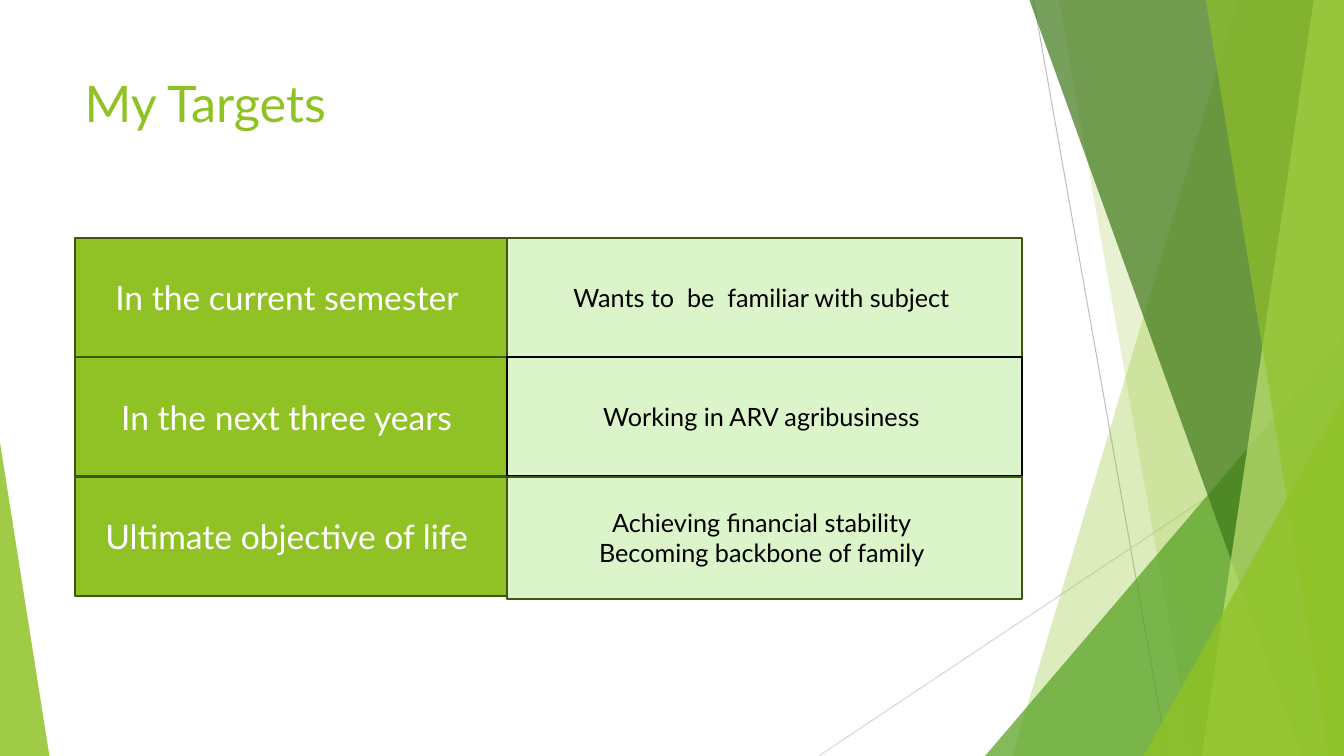
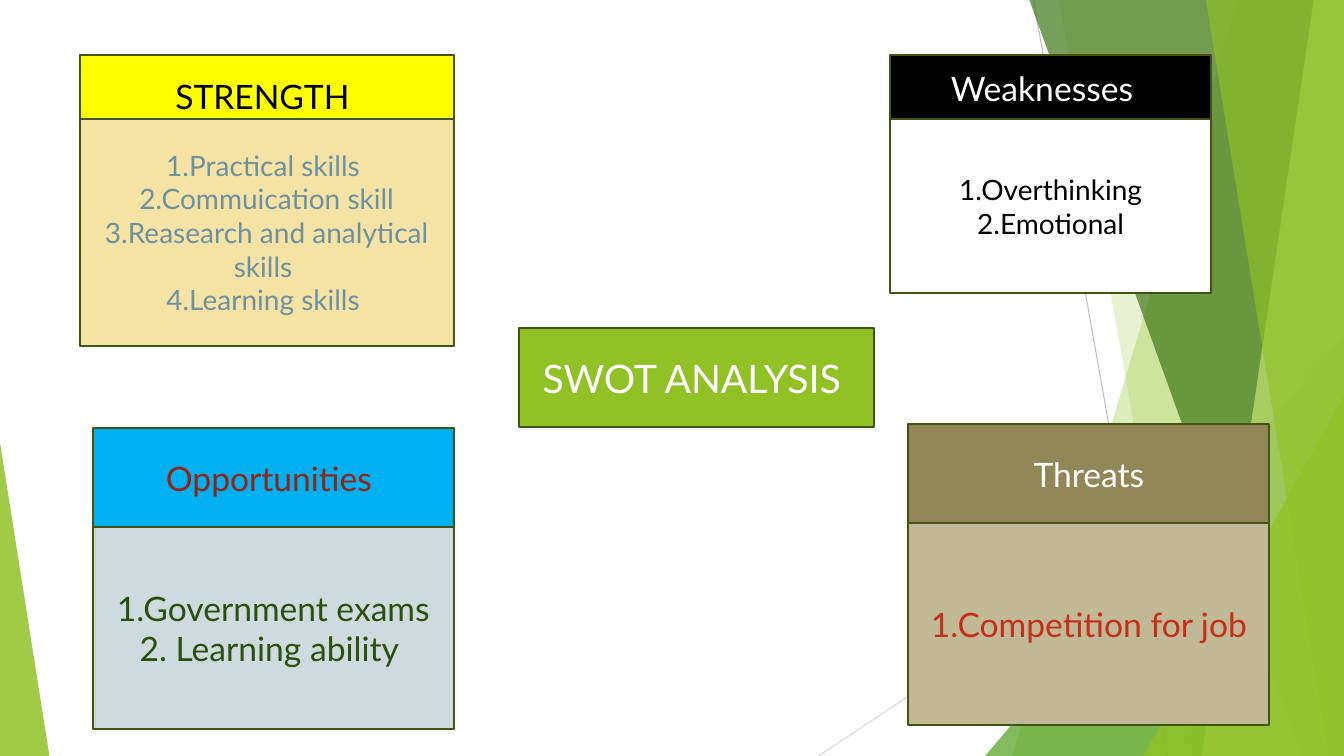
from dataclasses import dataclass

from lxml.etree import SubElement
from pptx import Presentation
from pptx.dml.color import RGBColor
from pptx.enum.shapes import MSO_CONNECTOR, MSO_SHAPE
from pptx.enum.text import MSO_ANCHOR, MSO_AUTO_SIZE, PP_ALIGN
from pptx.oxml.ns import qn
from pptx.util import Inches, Pt


@dataclass(frozen=True)
class Theme:
    font: str = "Lato"
    lime: str = "90C226"
    pale_lime: str = "C0E474"
    leaf: str = "54A021"
    forest: str = "3F7819"
    outline: str = "3F5511"
    mint: str = "DBF4CA"
    white: str = "FFFFFF"
    black: str = "000000"
    title_size: int = 36
    hub_size: int = 28
    label_size: int = 24
    list_size: int = 20
    body_size: int = 18
    border: float = 1.5
    hairline: float = 0.75


THEME = Theme()
WIDTH, HEIGHT = 13.33, 7.5
TITLE_ONLY, BLANK = 5, 6

# Backdrop: lines as (start, end, colour)
RAYS = [
    ((10.25, 0), (11.58, HEIGHT), "BFBFBF"),
    ((WIDTH, 4.03), (8.12, HEIGHT), "D9D9D9"),
]
# Bands reach the right edge: (left edge at top, left edge at bottom, colour, opacity %)
# Wedges: (left, top, width, height, apex position, colour, opacity %)
BACK_BANDS = [(12.28, 10.04, THEME.lime, 30), (10.5, 11.83, THEME.lime, 20)]
BACK_WEDGES = [(9.77, 3.33, 3.56, 4.17, 1, THEME.leaf, 72)]
FRONT_BANDS = [
    (10.21, 12.91, THEME.forest, 70),
    (13.03, 11.92, THEME.pale_lime, 70),
    (11.96, 13.18, THEME.lime, 65),
]
FRONT_WEDGES = [
    (11.34, 3.93, 1.99, 3.57, 1, THEME.lime, 80),
    (0, 4.39, 0.49, 3.11, 0, THEME.lime, 85),
]

TARGETS_TITLE = "My Targets"
# (horizon, goals, goal outline, goal height)
TARGETS = [
    ("In the current semester ", ["Wants to  be  familiar with subject "], THEME.outline, 1.18),
    ("In the next three years ", ["Working in ARV agribusiness "], THEME.black, 1.18),
    ("Ultimate objective of life ",
     ["Achieving financial stability ", "Becoming backbone of family "], THEME.outline, 1.21),
]

HUB = "SWOT ANALYSIS "
# place: left, top, width; head: height, fill, text colour;
# body: offset from top, height, fill, text colour, text size
SWOT = [
    dict(name="STRENGTH ", place=(0.79, 0.55, 3.71),
         head=(0.8, "FFFF00", THEME.black),
         body=(0.63, 2.25, "F5E3A5", "6E91A0", THEME.list_size),
         points=["1.Practical skills ", "2.Commuication skill",
                 "3.Reasearch and analytical skills ", "4.Learning skills "]),
    dict(name="Weaknesses  ", place=(8.83, 0.55, 3.18),
         head=(0.64, THEME.black, THEME.white),
         body=(0.63, 1.73, THEME.white, THEME.black, THEME.list_size),
         points=["1.Overthinking", "2.Emotional"]),
    dict(name="Opportunities ", place=(0.92, 4.25, 3.58),
         head=(0.98, "00B0F0", "932313"),
         body=(0.98, 2, "CFDADF", "2A5010", THEME.label_size),
         points=["1.Government exams", "2. Learning ability "]),
    dict(name="Threats", place=(9.01, 4.21, 3.58),
         head=(0.98, "918655", THEME.white),
         body=(0.98, 2, "C1B995", "C42F1A", THEME.label_size),
         points=["1.Competition for job"]),
]


def rgb(value):
    return RGBColor.from_string(value)


def inches(*lengths):
    return [Inches(length) for length in lengths]


def write(frame, lines, size, color, align=PP_ALIGN.CENTER, anchor=MSO_ANCHOR.MIDDLE):
    frame.word_wrap = True
    frame.auto_size = MSO_AUTO_SIZE.NONE
    frame.vertical_anchor = anchor
    for index, line in enumerate(lines):
        paragraph = frame.paragraphs[0] if index == 0 else frame.add_paragraph()
        paragraph.alignment = align
        run = paragraph.add_run()
        run.text = line
        run.font.name = THEME.font
        run.font.size = Pt(size)
        run.font.color.rgb = rgb(color)


def add_box(slide, place, lines, fill, color, size, outline=THEME.outline):
    box = slide.shapes.add_shape(MSO_SHAPE.RECTANGLE, *inches(*place))
    box.shadow.inherit = False
    box.fill.solid()
    box.fill.fore_color.rgb = rgb(fill)
    box.line.color.rgb = rgb(outline)
    box.line.width = Pt(THEME.border)
    write(box.text_frame, lines, size, color)


def tint(shape, color, opacity):
    """Give a borderless shape a see-through fill."""
    shape.shadow.inherit = False
    shape.line.fill.background()
    shape.fill.solid()
    shape.fill.fore_color.rgb = rgb(color)
    color_element = shape.fill._xPr.find(f"{qn('a:solidFill')}/{qn('a:srgbClr')}")
    SubElement(color_element, qn("a:alpha"), val=str(opacity * 1000))


def add_rays(shapes):
    for start, end, color in RAYS:
        ray = shapes.add_connector(MSO_CONNECTOR.STRAIGHT, *inches(*start, *end))
        ray.line.color.rgb = rgb(color)
        ray.line.width = Pt(THEME.hairline)
        SubElement(ray._element.spPr, qn("a:effectLst"))


def add_bands(shapes, bands):
    for top_left, bottom_left, color, opacity in bands:
        outline = shapes.build_freeform(*inches(top_left, 0))
        corners = [(WIDTH, 0), (WIDTH, HEIGHT), (bottom_left, HEIGHT)]
        outline.add_line_segments([inches(*corner) for corner in corners], close=True)
        tint(outline.convert_to_shape(), color, opacity)


def add_wedges(shapes, wedges):
    for *place, apex, color, opacity in wedges:
        wedge = shapes.add_shape(MSO_SHAPE.ISOSCELES_TRIANGLE, *inches(*place))
        wedge.adjustments[0] = apex
        tint(wedge, color, opacity)


def add_backdrop(prs, slide):
    """Draw the backdrop as a group, then hand it to the master all slides share."""
    group = slide.shapes.add_group_shape()
    add_rays(group.shapes)
    add_bands(group.shapes, BACK_BANDS)
    add_wedges(group.shapes, BACK_WEDGES)
    add_bands(group.shapes, FRONT_BANDS)
    add_wedges(group.shapes, FRONT_WEDGES)
    prs.slide_master.shapes._spTree.insert(2, group._element)


def fill_targets(slide):
    left, top, pitch = 0.74, 2.36, 1.185
    label_width, goal_width, label_height = 4.29, 5.11, 1.18
    title = slide.shapes.title
    title.left, title.top, title.width, title.height = inches(
        left, 0.67, label_width + goal_width, 1.44)
    write(title.text_frame, [TARGETS_TITLE], THEME.title_size, THEME.lime,
          align=PP_ALIGN.LEFT, anchor=MSO_ANCHOR.TOP)
    for row, (horizon, goals, outline, goal_height) in enumerate(TARGETS):
        y = top + row * pitch
        add_box(slide, (left, y, label_width, label_height), [horizon],
                THEME.lime, THEME.white, THEME.label_size)
        add_box(slide, (left + label_width, y, goal_width, goal_height), goals,
                THEME.mint, THEME.black, THEME.body_size, outline)


def fill_swot(slide):
    add_box(slide, (5.15, 3.25, 3.52, 0.99), [HUB], THEME.lime, THEME.white, THEME.hub_size)
    for quadrant in SWOT:
        left, top, width = quadrant["place"]
        head_height, head_fill, head_color = quadrant["head"]
        offset, body_height, body_fill, body_color, body_size = quadrant["body"]
        add_box(slide, (left, top, width, head_height), [quadrant["name"]],
                head_fill, head_color, THEME.label_size)
        add_box(slide, (left, top + offset, width, body_height), quadrant["points"],
                body_fill, body_color, body_size)


def main():
    prs = Presentation()
    prs.slide_width, prs.slide_height = inches(WIDTH, HEIGHT)
    targets = prs.slides.add_slide(prs.slide_layouts[TITLE_ONLY])
    add_backdrop(prs, targets)
    fill_targets(targets)
    fill_swot(prs.slides.add_slide(prs.slide_layouts[BLANK]))
    prs.save("out.pptx")


if __name__ == "__main__":
    main()
